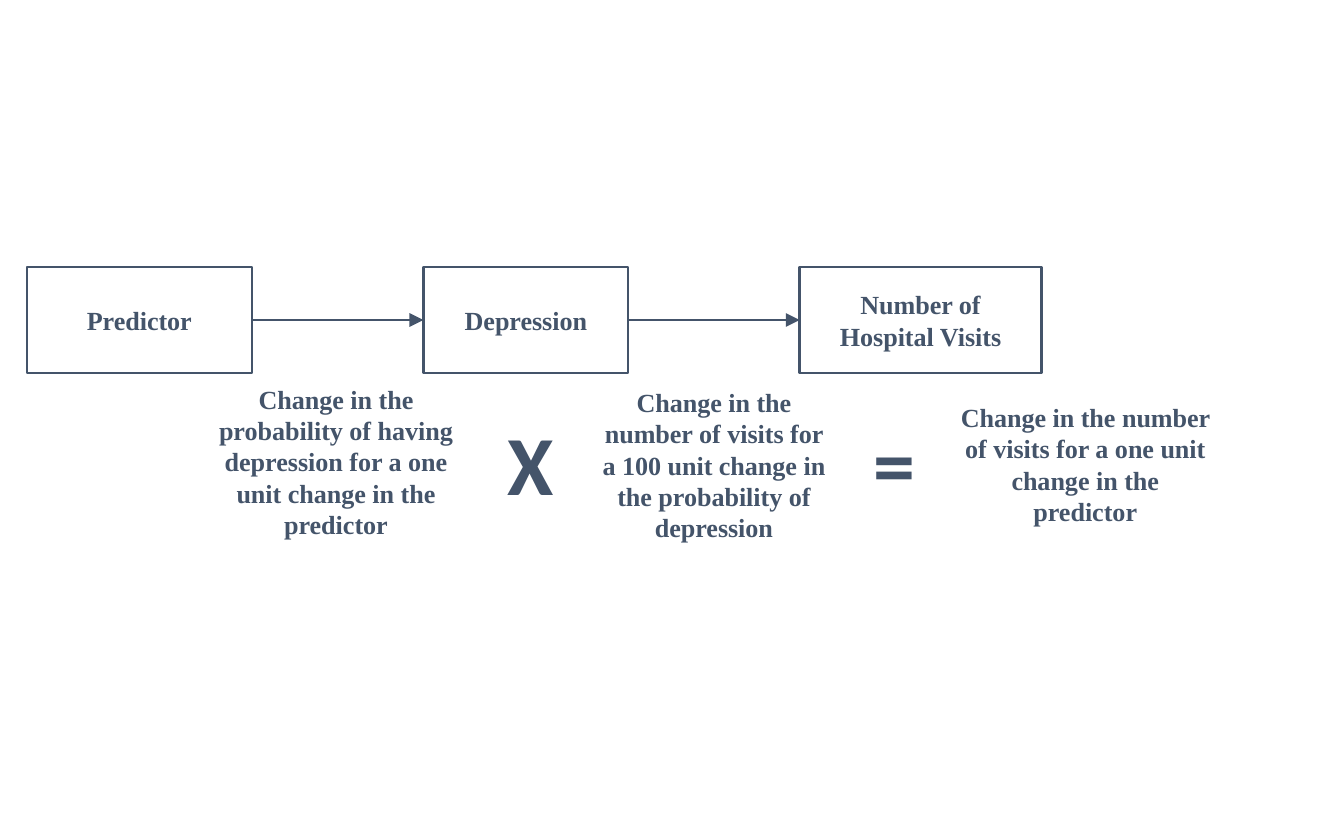
from pptx import Presentation
from pptx import util as u
from pptx.dml.color import RGBColor
from pptx.enum import shapes, text
from pptx.oxml import parse_xml
from pptx.oxml.ns import nsdecls, qn

SLATE = RGBColor(0x44, 0x54, 0x6A)
SERIF, SANS = "Times New Roman", "Calibri"
RIGHT_SIDE, LEFT_SIDE = 3, 1  # connection sites of a rectangle


def write(sp, words, size=11.2, font=SERIF, align=text.PP_ALIGN.CENTER):
    p = sp.text_frame.paragraphs[0]
    p.alignment = align
    r = p.add_run()
    r.text = words
    r.font.size, r.font.name, r.font.bold = u.Pt(size), font, True
    r.font.color.rgb = SLATE


def add_node(s, words, box):
    sp = s.shapes.add_shape(shapes.MSO_SHAPE.RECTANGLE, *map(u.Inches, box))
    sp.shadow.inherit = False
    sp.fill.background()
    sp.line.color.rgb, sp.line.width = SLATE, u.Pt(1)
    sp.text_frame.word_wrap = True
    sp.text_frame.vertical_anchor = text.MSO_ANCHOR.MIDDLE
    write(sp, words)
    return sp


def add_arrow(s, source, target):
    c = s.shapes.add_connector(shapes.MSO_CONNECTOR.STRAIGHT, 0, 0, 0, 0)
    c.begin_connect(source, RIGHT_SIDE)
    c.end_connect(target, LEFT_SIDE)
    c.line.color.rgb, c.line.width = SLATE, u.Pt(0.5)
    c.line._get_or_add_ln().append(
        parse_xml(f'<a:tailEnd {nsdecls("a")} type="triangle"/>'))
    c._element.spPr.append(parse_xml(f'<a:effectLst {nsdecls("a")}/>'))


def add_label(s, words, box, wrap=True, **style):
    sp = s.shapes.add_textbox(*map(u.Inches, box))
    sp.text_frame.word_wrap = wrap
    sp.text_frame.auto_size = text.MSO_AUTO_SIZE.SHAPE_TO_FIT_TEXT
    write(sp, words, **style)


def add_path_diagram(s, left, top, height):
    """Boxes in a row, each joined to the next by an arrow."""
    steps = [("Predictor", 0, 1.34), ("Depression", 2.36, 1.22),
             ("Number of Hospital Visits", 4.6, 1.44)]
    nodes = [add_node(s, words, (left + x, top, width, height))
             for words, x, width in steps]
    for source, target in zip(nodes, nodes[1:]):
        add_arrow(s, source, target)


def add_equation(s, left, top):
    """Effect on depression times effect on visits equals total effect."""
    terms = [
        ("Change in the probability of having depression for a one unit "
         "change in the predictor", 0, 0, 1.68, 1.05),
        ("Change in the number of visits for a 100 unit change in the "
         "probability of depression", 2.31, 0.02, 1.56, 1.05),
        ("Change in the number of visits for a one unit change in the "
         "predictor", 4.46, 0.11, 1.68, 0.86),
    ]
    for words, x, y, width, height in terms:
        add_label(s, words, (left + x, top + y, width, height))
    for sign, x, width in [("X", 1.76, 0.48), ("=", 3.94, 0.45)]:
        add_label(s, sign, (left + x, top + 0.17, width, 0.71), wrap=False,
                  size=36, font=SANS, align=text.PP_ALIGN.LEFT)


prs = Presentation()
prs.slide_width, prs.slide_height = u.Inches(8), u.Inches(5)
s = prs.slides.add_slide(prs.slide_layouts[6])
add_path_diagram(s, 0.16, 1.59, 0.63)
add_equation(s, 1.16, 2.23)
prs.save("out.pptx")
